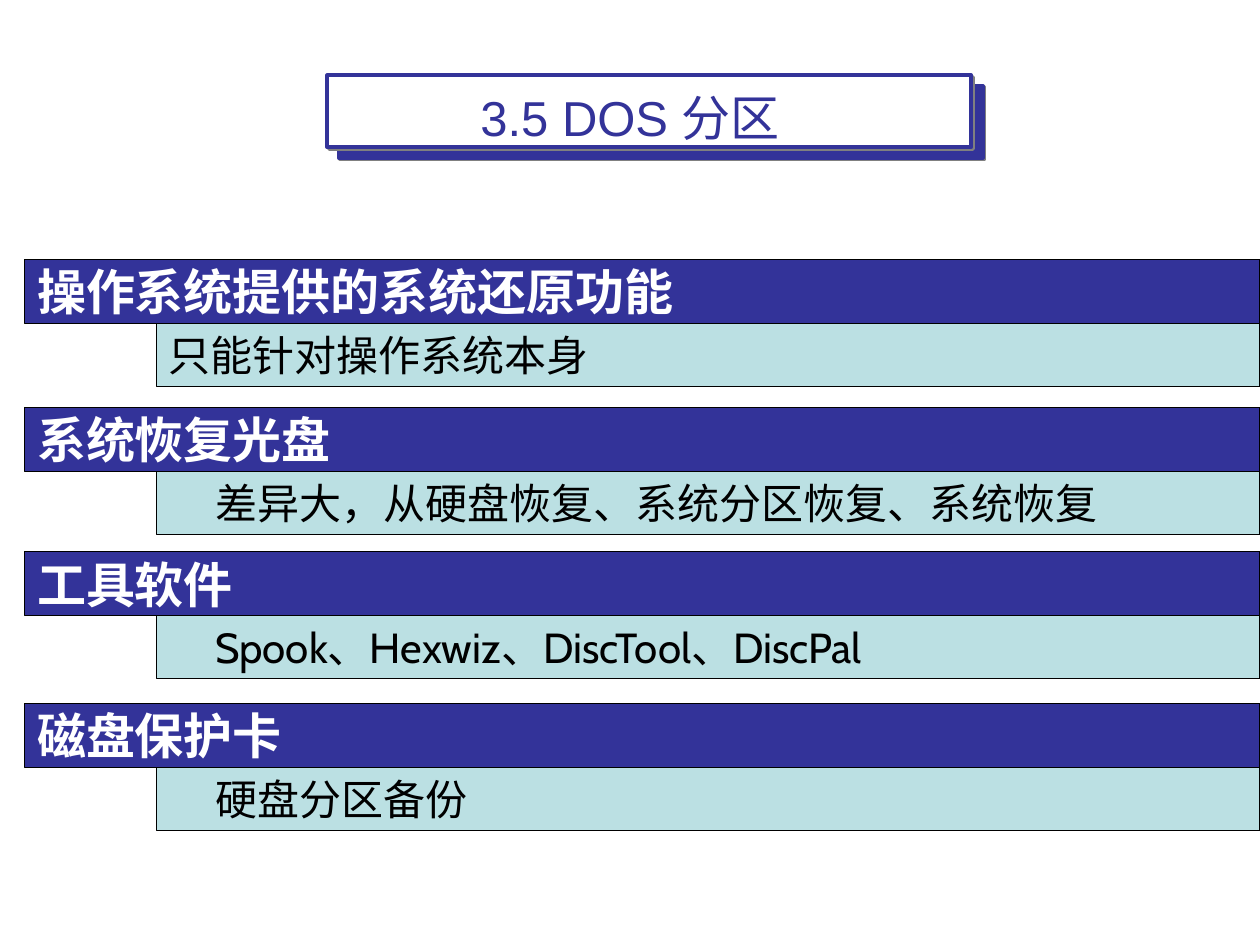
"""Build the slide on DOS partitions: four recovery methods, each a heading bar with a detail bar."""
import pptx
import pptx.dml.color
import pptx.enum.shapes
import pptx.enum.text
import pptx.util
from lxml import etree
from pptx.util import Cm, Pt

TITLE = "3.5 DOS 分区"
METHODS = [
    # heading, detail, top in cm, detail indent in cm
    ("操作系统提供的系统还原功能", "只能针对操作系统本身", 5.23, 0),
    ("系统恢复光盘", "差异大，从硬盘恢复、系统分区恢复、系统恢复", 8.21, 0.94),
    ("工具软件", "Spook、Hexwiz、DiscTool、DiscPal", 11.12, 0.94),
    ("磁盘保护卡", "硬盘分区备份", 14.18, 0.94),
]
PLATES = [("333399", 6.83, 1.73), ("FFFFFF", 6.6, 1.52)]
NAVY, AQUA, WHITE, BLACK = "333399", "BBE0E3", "FFFFFF", "000000"
SLIDE_WIDTH, HEADING_LEFT, DETAIL_LEFT = 25.4, 0.5, 3.15
HEADING_HEIGHT, DETAIL_HEIGHT = 1.29, 1.27
SHADOW = (
    '<a:effectLst xmlns:a="http://schemas.openxmlformats.org/drawingml/2006/main">'
    '<a:outerShdw dist="17780" dir="2700000" algn="ctr" rotWithShape="0">'
    '<a:srgbClr val="808080"/></a:outerShdw></a:effectLst>'
)


def color(hex_string):
    return pptx.dml.color.RGBColor.from_string(hex_string)


def add_box(slide, left, top, width, height, fill, line, line_width):
    shape = slide.shapes.add_shape(
        pptx.enum.shapes.MSO_SHAPE.RECTANGLE, Cm(left), Cm(top), Cm(width), Cm(height)
    )
    shape.shadow.inherit = False
    shape.fill.solid()
    shape.fill.fore_color.rgb = color(fill)
    shape.line.color.rgb = color(line)
    shape.line.width = Pt(line_width)
    return shape


def write(shape, text, font_name, size, font_color, anchor, align, bold=False, indent=0):
    frame = shape.text_frame
    frame.word_wrap = True
    frame.vertical_anchor = anchor
    paragraph = frame.paragraphs[0]
    paragraph.text = text
    paragraph.alignment = align
    if indent:
        paragraph._p.get_or_add_pPr().set("marL", str(Cm(indent)))
    font = paragraph.font
    font.name, font.size, font.bold = font_name, Pt(size), bold
    font.color.rgb = color(font_color)


def add_title(slide):
    for fill, left, top in PLATES:
        plate = add_box(slide, left, top, 12.98, 1.45, fill, NAVY, 2.25)
        properties = plate.element.spPr
        properties.replace(properties.find("{*}effectLst"), etree.fromstring(SHADOW))
    title = slide.shapes.title
    title.left, title.top, title.width, title.height = Cm(1.27), Cm(0.76), Cm(22.86), Cm(3.18)
    write(title, TITLE, "Arial", 28, NAVY, pptx.enum.text.MSO_ANCHOR.MIDDLE,
          pptx.enum.text.PP_ALIGN.CENTER)
    plate.element.addnext(title.element)


def add_method(slide, heading, detail, top, indent):
    left_align = pptx.enum.text.PP_ALIGN.LEFT
    heading_bar = add_box(slide, HEADING_LEFT, top, SLIDE_WIDTH - HEADING_LEFT,
                          HEADING_HEIGHT, NAVY, BLACK, 0.75)
    write(heading_bar, heading, "Arial", 28, WHITE, pptx.enum.text.MSO_ANCHOR.MIDDLE,
          left_align, bold=True)
    detail_bar = add_box(slide, DETAIL_LEFT, top + HEADING_HEIGHT, SLIDE_WIDTH - DETAIL_LEFT,
                         DETAIL_HEIGHT, AQUA, BLACK, 0.75)
    write(detail_bar, detail, "Cabin", 24, BLACK, pptx.enum.text.MSO_ANCHOR.TOP,
          left_align, indent=indent)


def main():
    presentation = pptx.Presentation()
    presentation.slide_width, presentation.slide_height = Cm(SLIDE_WIDTH), Cm(19.05)
    slide = presentation.slides.add_slide(presentation.slide_layouts[5])
    add_title(slide)
    for method in METHODS:
        add_method(slide, *method)
    presentation.save("out.pptx")


if __name__ == "__main__":
    main()
